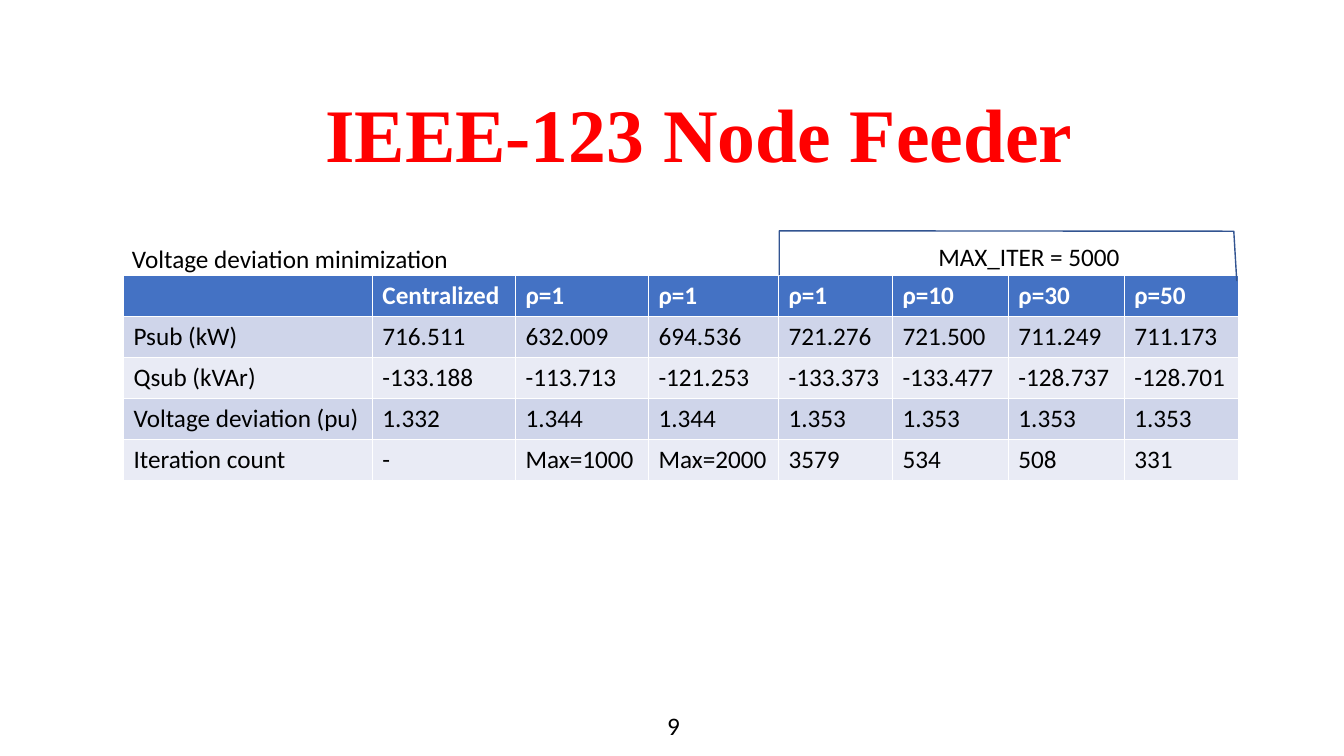
"""Build the IEEE-123 Node Feeder results slide."""
from dataclasses import dataclass

from pptx import Presentation
from pptx.dml.color import RGBColor
from pptx.enum import text
from pptx.util import Pt

TITLE = "IEEE-123 Node Feeder"
RESULTS = [
    ["", "Centralized", "ρ=1", "ρ=1", "ρ=1", "ρ=10", "ρ=30", "ρ=50"],
    ["Psub (kW)", "716.511", "632.009", "694.536", "721.276", "721.500", "711.249", "711.173"],
    ["Qsub (kVAr)", "-133.188", "-113.713", "-121.253", "-133.373", "-133.477", "-128.737", "-128.701"],
    ["Voltage deviation (pu)", "1.332", "1.344", "1.344", "1.353", "1.353", "1.353", "1.353"],
    ["Iteration count", "-", "Max=1000", "Max=2000", "3579", "534", "508", "331"],
]
COLUMN_WIDTHS = [177.8, 102.2, 95, 92.9, 81.4, 82.8, 82.8, 81.4]
ROW_HEIGHT = 29.2
TABLE_LEFT, TABLE_TOP = 88.2, 197
LABELS = [
    ("9", 469.4, 504, 57, 36),
    ("MAX_ITER = 5000", 663.1, 168.7, 167, 29),
    ("Voltage deviation minimization", 87.1, 170, 251.3, 29),
]
BRACKET = [(556.6, 196.6), (556.6, 164.9), (881.3, 165.2), (883.4, 200.9)]


@dataclass(frozen=True)
class Theme:
    """Colours, fonts and type sizes of the slide."""
    title_font: str = "Times New Roman"
    body_font: str = "Calibri"
    title_size: int = 54
    body_size: int = 18
    red: str = "FF0000"
    black: str = "000000"
    white: str = "FFFFFF"
    header: str = "4472C4"
    bands: tuple = ("E9EBF5", "CFD5EA")
    bracket: str = "325491"


theme = Theme()


def style(paragraph, color, name=theme.body_font, size=theme.body_size, bold=False):
    """Set the font of a whole paragraph."""
    font = paragraph.font
    font.name, font.size, font.bold = name, Pt(size), bold
    font.color.rgb = RGBColor.from_string(color)


def add_title(slide):
    """Place and format the slide title."""
    title = slide.shapes.title
    title.left, title.top, title.width, title.height = map(Pt, (79.2, 69.1, 840.2, 62.6))
    frame = title.text_frame
    frame.text = TITLE
    frame.auto_size = text.MSO_AUTO_SIZE.NONE
    frame.vertical_anchor = text.MSO_ANCHOR.BOTTOM
    heading = frame.paragraphs[0]
    heading.alignment = text.PP_ALIGN.CENTER
    heading.line_spacing = 0.9
    style(heading, theme.red, theme.title_font, theme.title_size, True)


def add_results(slide):
    """Add the table of results."""
    results = slide.shapes.add_table(
        len(RESULTS), len(COLUMN_WIDTHS), Pt(TABLE_LEFT), Pt(TABLE_TOP),
        Pt(sum(COLUMN_WIDTHS)), Pt(ROW_HEIGHT * len(RESULTS))).table
    for column, width in zip(results.columns, COLUMN_WIDTHS):
        column.width = Pt(width)
    for r, values in enumerate(RESULTS):
        results.rows[r].height = Pt(ROW_HEIGHT)
        is_header = r == 0
        fill = theme.header if is_header else theme.bands[r % 2]
        for c, value in enumerate(values):
            cell = results.cell(r, c)
            cell.text = value
            cell.fill.solid()
            cell.fill.fore_color.rgb = RGBColor.from_string(fill)
            style(cell.text_frame.paragraphs[0],
                  theme.white if is_header else theme.black, bold=is_header)


def add_label(slide, wording, *bounds):
    """Add one line of body text."""
    frame = slide.shapes.add_textbox(*map(Pt, bounds)).text_frame
    frame.word_wrap = True
    frame.text = wording
    style(frame.paragraphs[0], theme.black)


def add_bracket(slide):
    """Add the open bracket over the iteration-limited columns."""
    start, *corners = [(Pt(x), Pt(y)) for x, y in BRACKET]
    builder = slide.shapes.build_freeform(*start)
    builder.add_line_segments(corners, close=False)
    bracket = builder.convert_to_shape()
    bracket.shadow.inherit = False
    bracket.fill.background()
    bracket.line.color.rgb = RGBColor.from_string(theme.bracket)
    bracket.line.width = Pt(1)


def main():
    """Assemble and save the deck."""
    deck = Presentation()
    deck.slide_width, deck.slide_height = Pt(960), Pt(540)
    slide = deck.slides.add_slide(deck.slide_layouts.get_by_name("Title Only"))
    add_title(slide)
    add_results(slide)
    for label in LABELS:
        add_label(slide, *label)
    add_bracket(slide)
    deck.save("out.pptx")


if __name__ == "__main__":
    main()
